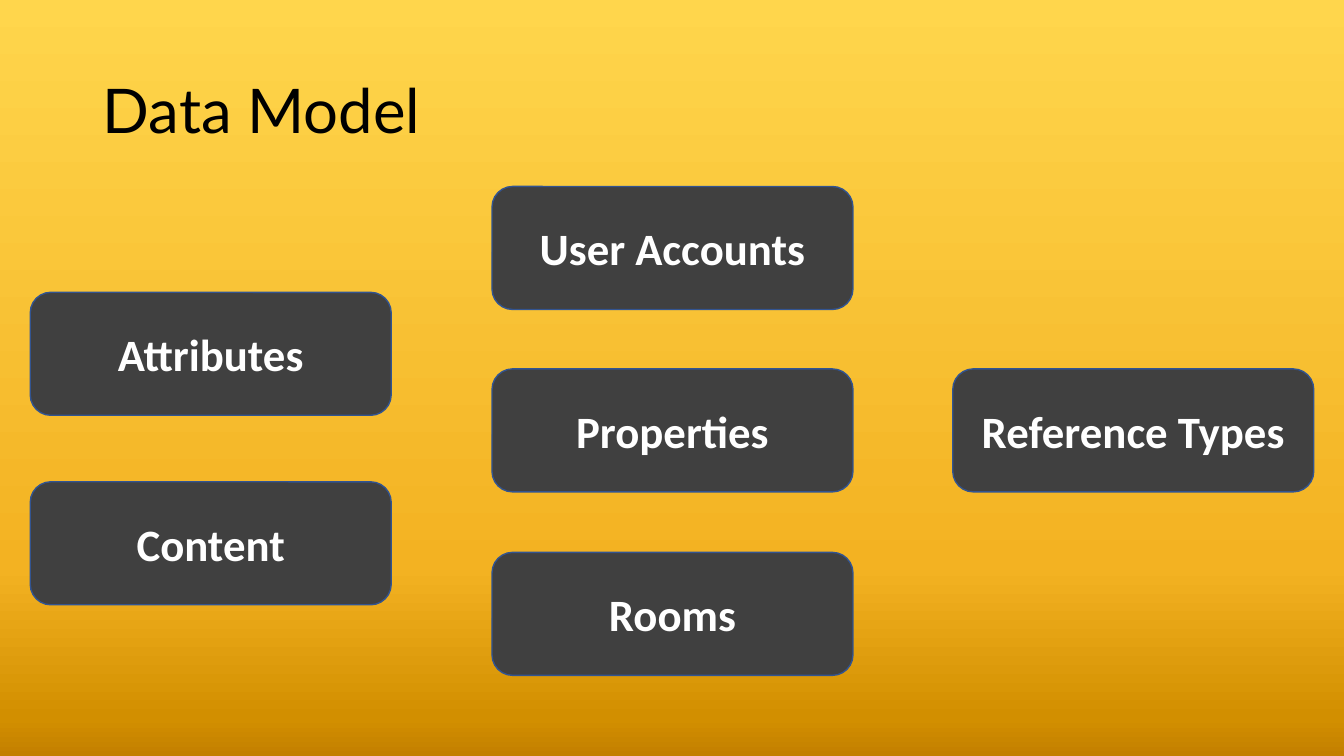
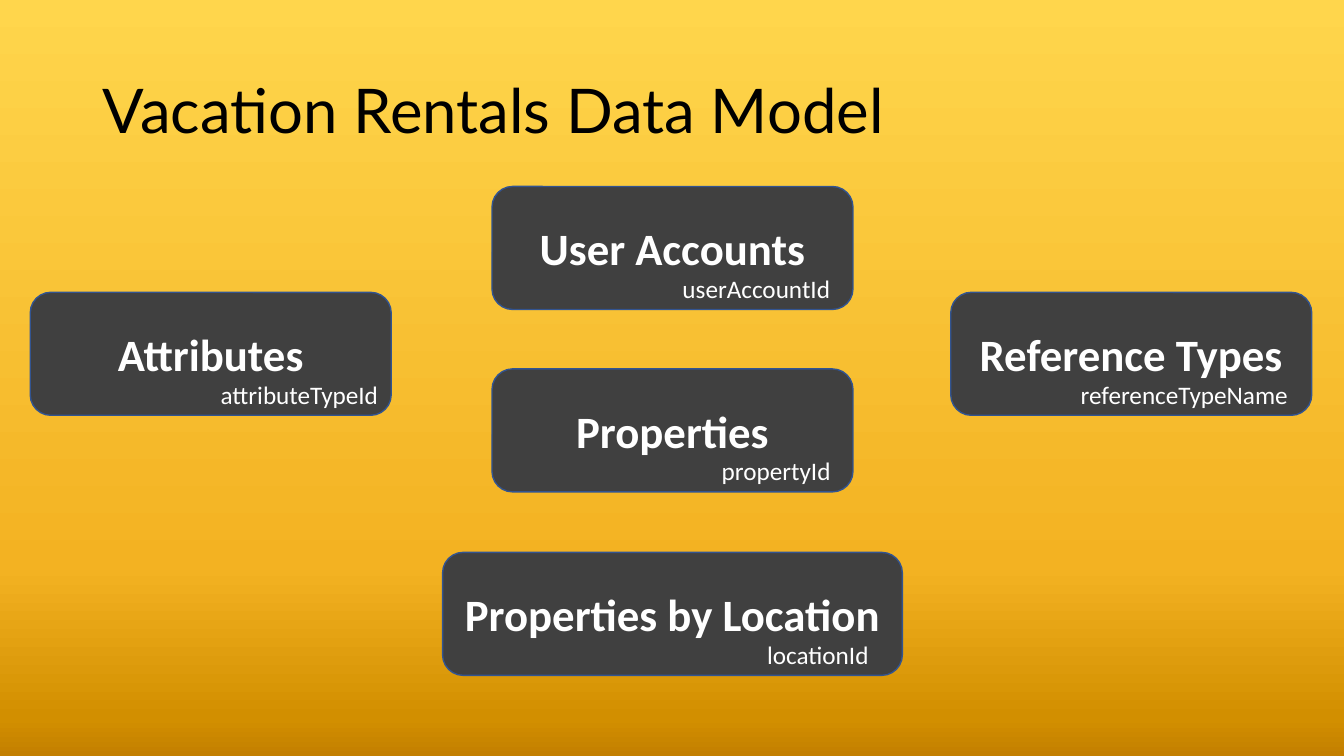
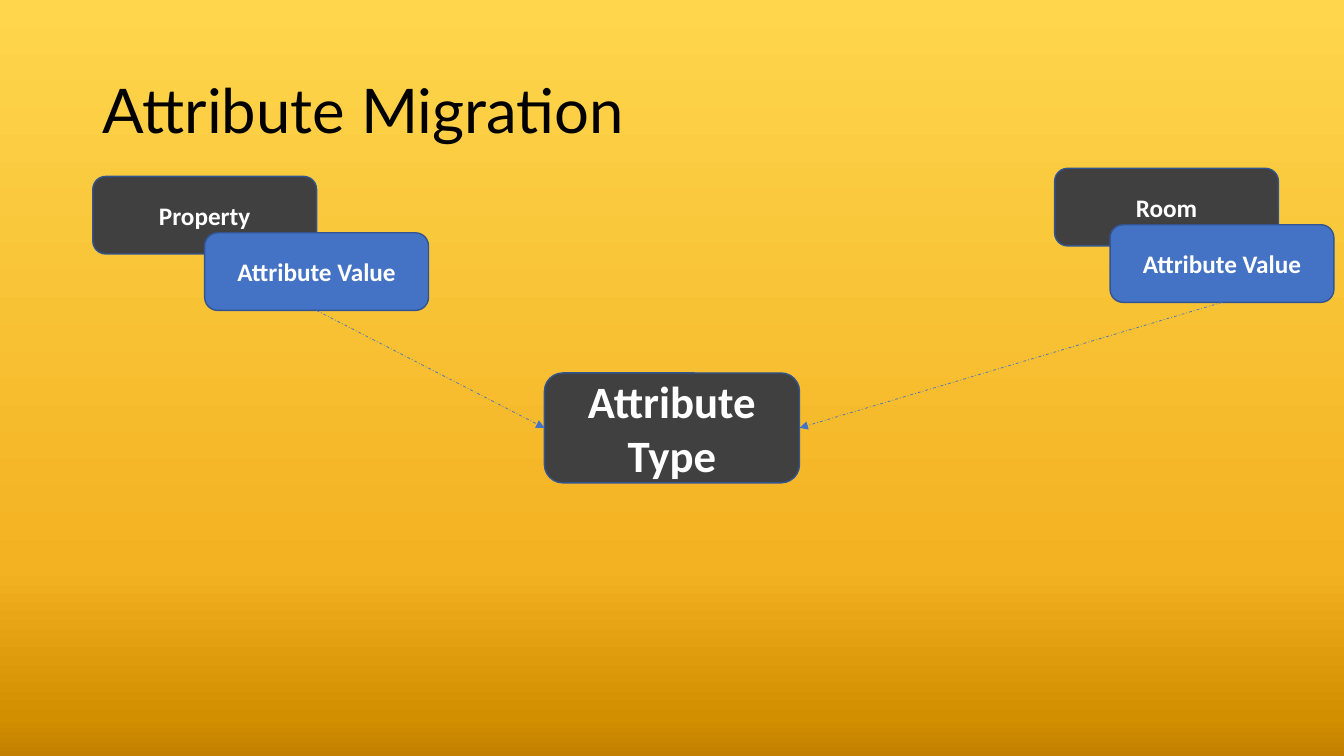
"""Build three slides that describe a rental data model and its attribute migration."""

from copy import deepcopy
from dataclasses import dataclass
from typing import Optional

from pptx import Presentation
from pptx.dml.color import RGBColor
from pptx.enum.dml import MSO_LINE
from pptx.enum.shapes import MSO_CONNECTOR, MSO_SHAPE
from pptx.enum.text import MSO_ANCHOR, MSO_AUTO_SIZE, PP_ALIGN
from pptx.oxml.ns import qn
from pptx.oxml.xmlchemy import OxmlElement
from pptx.presentation import Presentation as Deck
from pptx.shapes.autoshape import Shape
from pptx.slide import Slide, SlideMaster
from pptx.text.text import _Paragraph as Paragraph
from pptx.util import Inches, Pt


@dataclass(frozen=True)
class Theme:
    title_font: str = "Lato"
    body_font: str = "Calibri"
    title_size: int = 44
    card_size: int = 32
    small_size: int = 18
    black: str = "000000"
    white: str = "FFFFFF"
    dark: str = "404040"
    blue: str = "4472C4"
    outline: str = "325491"
    background: tuple[tuple[float, str], ...] = (
        (0, "FFD64C"), (0.75, "F3B222"), (0.95, "D28F00"), (1, "C37F00"))


THEME = Theme()


@dataclass(frozen=True)
class Key:
    text: str
    width: float
    inset: float = 0.11


@dataclass(frozen=True)
class Card:
    text: str
    left: float
    top: float
    width: float = 3.58
    height: float = 1.22
    size: int = THEME.card_size
    fill: str = THEME.dark
    key: Optional[Key] = None


LEFT_COLUMN, MIDDLE_COLUMN, RIGHT_COLUMN = 0.3, 4.88, 9.45
SIDE_TOP = 2.9
KEY_HEIGHT = 0.4
TOP_ROW, MIDDLE_ROW, BOTTOM_ROW = 1.85, 3.66, 5.48

DATA_MODEL = (
    Card("User Accounts", MIDDLE_COLUMN, TOP_ROW),
    Card("Properties", MIDDLE_COLUMN, MIDDLE_ROW),
    Card("Rooms", MIDDLE_COLUMN, BOTTOM_ROW),
    Card("Attributes", LEFT_COLUMN, SIDE_TOP),
    Card("Content", LEFT_COLUMN, 4.78),
    Card("Reference Types", RIGHT_COLUMN, MIDDLE_ROW),
)
RENTALS_MODEL = (
    Card("Attributes", LEFT_COLUMN, SIDE_TOP, key=Key("attributeTypeId", 1.79, 0)),
    Card("User Accounts", MIDDLE_COLUMN, TOP_ROW, key=Key("userAccountId", 1.68)),
    Card("Properties", MIDDLE_COLUMN, MIDDLE_ROW, key=Key("propertyId", 1.29)),
    Card("Reference Types", 9.43, SIDE_TOP, key=Key("referenceTypeName", 2.28)),
    Card("Properties by Location", 4.39, BOTTOM_ROW, 4.56,
         key=Key("locationId", 1.22, 0.22)),
)


def small_card(text: str, left: float, top: float, fill: str = THEME.dark) -> Card:
    return Card(text, left, top, 2.22, 0.77, THEME.small_size, fill)


ATTRIBUTE_TYPE = Card("Attribute Type", 5.4, 3.7, 2.53, 1.09)
OWNERS = (small_card("Room", 10.46, 1.67), small_card("Property", 0.92, 1.75))
LEFT_VALUE = small_card("Attribute Value", 2.03, 2.31, THEME.blue)
RIGHT_VALUE = small_card("Attribute Value", 11.01, 2.23, THEME.blue)


def color(value: str) -> RGBColor:
    return RGBColor.from_string(value)


def style(paragraph: Paragraph, name: str, size: int, shade: str, bold: bool = False) -> None:
    paragraph.font.name = name
    paragraph.font.size = Pt(size)
    paragraph.font.bold = bold
    paragraph.font.color.rgb = color(shade)


def paint_background(master: SlideMaster) -> None:
    fill = master.background.fill
    fill.gradient()
    fill.gradient_angle = 270
    stop_list = next(master.element.iter(qn("a:gsLst")))
    template = stop_list[0]
    for _ in range(len(THEME.background) - len(stop_list)):
        stop_list.append(deepcopy(template))
    for stop, (position, shade) in zip(fill.gradient_stops, THEME.background):
        stop.position = position
        stop.color.rgb = color(shade)


def add_slide(presentation: Deck, title: str) -> Slide:
    slide = presentation.slides.add_slide(presentation.slide_layouts[5])
    shape = slide.shapes.title
    shape.left, shape.top = Inches(0.92), Inches(0.4)
    shape.width, shape.height = Inches(11.5), Inches(1.45)
    frame = shape.text_frame
    frame.text = title
    frame.vertical_anchor = MSO_ANCHOR.MIDDLE
    paragraph = frame.paragraphs[0]
    paragraph.alignment = PP_ALIGN.LEFT
    paragraph.line_spacing = 0.9
    style(paragraph, THEME.title_font, THEME.title_size, THEME.black)
    return slide


def add_key(slide: Slide, card: Card, key: Key) -> None:
    left = card.left + card.width - key.inset - key.width
    top = card.top + card.height - KEY_HEIGHT - 0.01
    box = slide.shapes.add_textbox(
        Inches(left), Inches(top), Inches(key.width), Inches(KEY_HEIGHT))
    frame = box.text_frame
    frame.text = key.text
    frame.word_wrap = False
    frame.auto_size = MSO_AUTO_SIZE.SHAPE_TO_FIT_TEXT
    style(frame.paragraphs[0], THEME.body_font, THEME.small_size, THEME.white)


def add_card(slide: Slide, card: Card) -> Shape:
    shape = slide.shapes.add_shape(
        MSO_SHAPE.ROUNDED_RECTANGLE, Inches(card.left), Inches(card.top),
        Inches(card.width), Inches(card.height))
    shape.shadow.inherit = False
    shape.fill.solid()
    shape.fill.fore_color.rgb = color(card.fill)
    shape.line.color.rgb = color(THEME.outline)
    shape.line.width = Pt(1)
    frame = shape.text_frame
    frame.text = card.text
    frame.vertical_anchor = MSO_ANCHOR.MIDDLE
    paragraph = frame.paragraphs[0]
    paragraph.alignment = PP_ALIGN.CENTER
    style(paragraph, THEME.body_font, card.size, THEME.white, bold=True)
    if card.key:
        add_key(slide, card, card.key)
    return shape


def add_arrow(slide: Slide, source: Shape, target: Shape, target_side: int) -> None:
    connector = slide.shapes.add_connector(MSO_CONNECTOR.STRAIGHT, 0, 0, 0, 0)
    connector.begin_connect(source, 2)
    connector.end_connect(target, target_side)
    line = connector.line
    line.color.rgb = color(THEME.blue)
    line.width = Pt(0.5)
    line.dash_style = MSO_LINE.DASH_DOT
    arrowhead = OxmlElement("a:tailEnd")
    arrowhead.set("type", "triangle")
    line._get_or_add_ln().append(arrowhead)
    connector.element.spPr.append(OxmlElement("a:effectLst"))


def add_model(presentation: Deck, title: str, cards: tuple[Card, ...]) -> None:
    slide = add_slide(presentation, title)
    for card in cards:
        add_card(slide, card)


def add_migration(presentation: Deck) -> None:
    slide = add_slide(presentation, "Attribute Migration")
    for owner in OWNERS:
        add_card(slide, owner)
    attribute_type = add_card(slide, ATTRIBUTE_TYPE)
    for value, side in ((LEFT_VALUE, 1), (RIGHT_VALUE, 3)):
        add_arrow(slide, add_card(slide, value), attribute_type, side)


def main() -> None:
    presentation = Presentation()
    presentation.slide_width = Inches(13.33)
    presentation.slide_height = Inches(7.5)
    paint_background(presentation.slide_master)
    add_model(presentation, "Data Model", DATA_MODEL)
    add_model(presentation, "Vacation Rentals Data Model", RENTALS_MODEL)
    add_migration(presentation)
    presentation.save("out.pptx")


if __name__ == "__main__":
    main()
